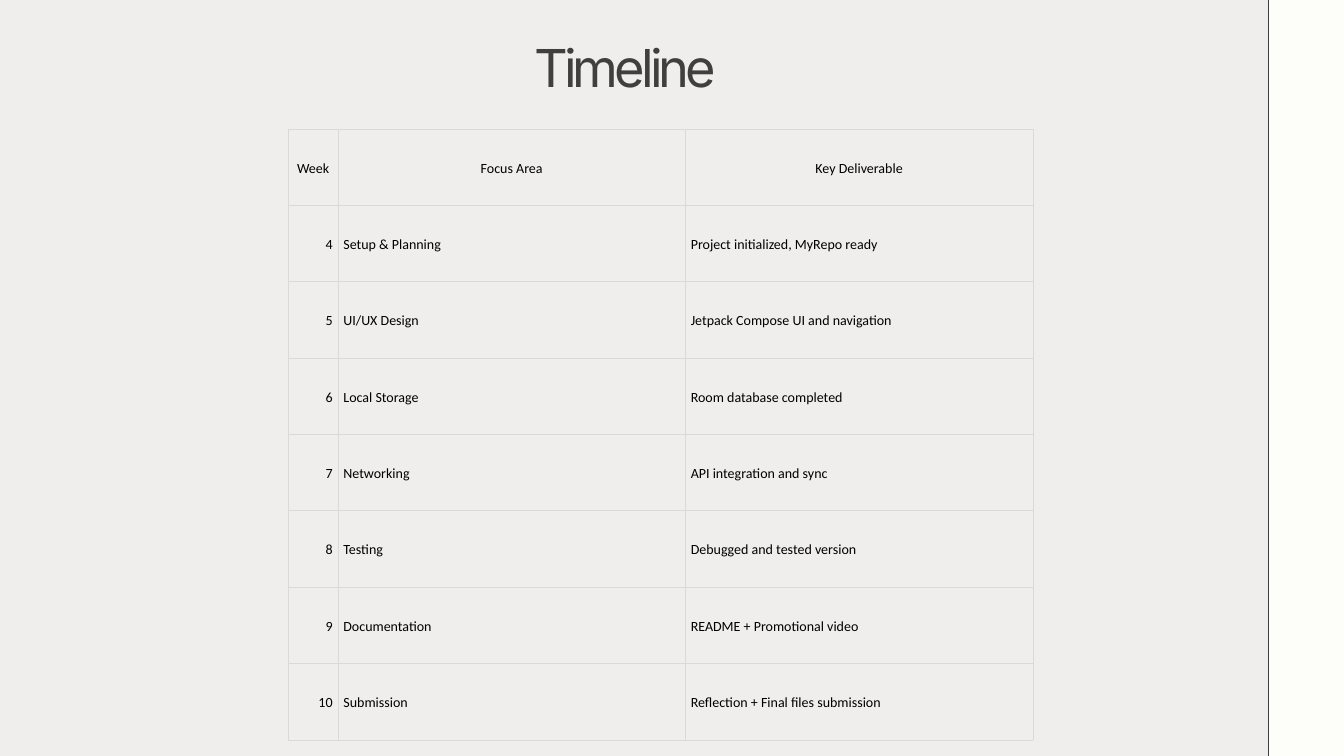
"""Build the project timeline slide with its weekly table."""
from lxml import etree
from pptx import Presentation
from pptx import util as u
from pptx.dml.color import RGBColor
from pptx.enum import shapes, text
from pptx.oxml.ns import qn

TITLE = "Timeline"
HEADER = ("Week", "Focus Area", "Key Deliverable")
WEEKS = [
    ("4", "Setup & Planning", "Project initialized, MyRepo ready"),
    ("5", "UI/UX Design", "Jetpack Compose UI and navigation"),
    ("6", "Local Storage", "Room database completed"),
    ("7", "Networking", "API integration and sync"),
    ("8", "Testing", "Debugged and tested version"),
    ("9", "Documentation", "README + Promotional video"),
    ("10", "Submission", "Reflection + Final files submission"),
]

BACKGROUND = RGBColor(0xEF, 0xEE, 0xEC)
BAND = RGBColor(0xFD, 0xFD, 0xFA)
INK = RGBColor(0x40, 0x3E, 0x3E)
BLACK = RGBColor(0, 0, 0)
GRID = RGBColor(0xD9, 0xD9, 0xD9)

WIDTH, HEIGHT = 20, 11.25
BAND_LEFT, BAND_WIDTH, BLEED = 18.88, 1.17, 0.24
TABLE_LEFT, TABLE_TOP, TABLE_HEIGHT = 4.29, 1.92, 9.09
COLUMNS = (0.74, 5.17, 5.17)
INSET = u.Inches(0.08)
LEFT, CENTER, RIGHT = text.PP_ALIGN.LEFT, text.PP_ALIGN.CENTER, text.PP_ALIGN.RIGHT
BODY_ALIGNMENT = (RIGHT, LEFT, LEFT)


def inches(*values):
    return [u.Inches(value) for value in values]


def write(paragraph, words, font, size, color, line_spacing):
    paragraph.line_spacing = u.Pt(line_spacing)
    run = paragraph.add_run()
    run.text = words
    run.font.name, run.font.size = font, u.Pt(size)
    run.font.bold = False
    run.font.color.rgb = color
    return run


def add_band(slide):
    band = slide.shapes.add_shape(
        shapes.MSO_SHAPE.RECTANGLE,
        *inches(BAND_LEFT, -BLEED, BAND_WIDTH, HEIGHT + 2 * BLEED))
    band.shadow.inherit = False
    band.fill.solid()
    band.fill.fore_color.rgb = BAND
    band.line.color.rgb = INK
    band.line.width = u.Pt(0.75)


def add_title(slide):
    frame = slide.shapes.add_textbox(*inches(7.95, 0.79, 10.39, 1.39)).text_frame
    frame.word_wrap = True
    frame.margin_left = frame.margin_right = frame.margin_top = frame.margin_bottom = 0
    run = write(frame.paragraphs[0], TITLE, "Inter", 56, INK, 47.6)
    run.font._element.set("spc", "-420")


def add_borders(cell):
    properties = cell._tc.get_or_add_tcPr()
    for side in ("lnL", "lnR", "lnT", "lnB"):
        line = etree.SubElement(properties, qn(f"a:{side}"), w=str(u.Pt(0.75)))
        fill = etree.SubElement(line, qn("a:solidFill"))
        etree.SubElement(fill, qn("a:srgbClr"), val=str(GRID))


def add_timeline(slide):
    rows = [HEADER] + WEEKS
    table = slide.shapes.add_table(
        len(rows), len(COLUMNS),
        *inches(TABLE_LEFT, TABLE_TOP, sum(COLUMNS), TABLE_HEIGHT)).table
    table.first_row = table.horz_banding = False
    for column, width in zip(table.columns, COLUMNS):
        column.width = u.Inches(width)
    for row_index, row in enumerate(rows):
        for column_index, words in enumerate(row):
            cell = table.cell(row_index, column_index)
            cell.margin_left = cell.margin_right = INSET
            cell.margin_top = cell.margin_bottom = INSET
            cell.vertical_anchor = text.MSO_ANCHOR.MIDDLE
            add_borders(cell)
            cell.fill.background()
            paragraph = cell.text_frame.paragraphs[0]
            paragraph.alignment = BODY_ALIGNMENT[column_index] if row_index else CENTER
            write(paragraph, words, "Calibri", 15, BLACK, 21)


def main():
    presentation = Presentation()
    presentation.slide_width, presentation.slide_height = inches(WIDTH, HEIGHT)
    slide = presentation.slides.add_slide(presentation.slide_layouts[6])
    slide.background.fill.solid()
    slide.background.fill.fore_color.rgb = BACKGROUND
    add_band(slide)
    add_title(slide)
    add_timeline(slide)
    presentation.save("out.pptx")


if __name__ == "__main__":
    main()
